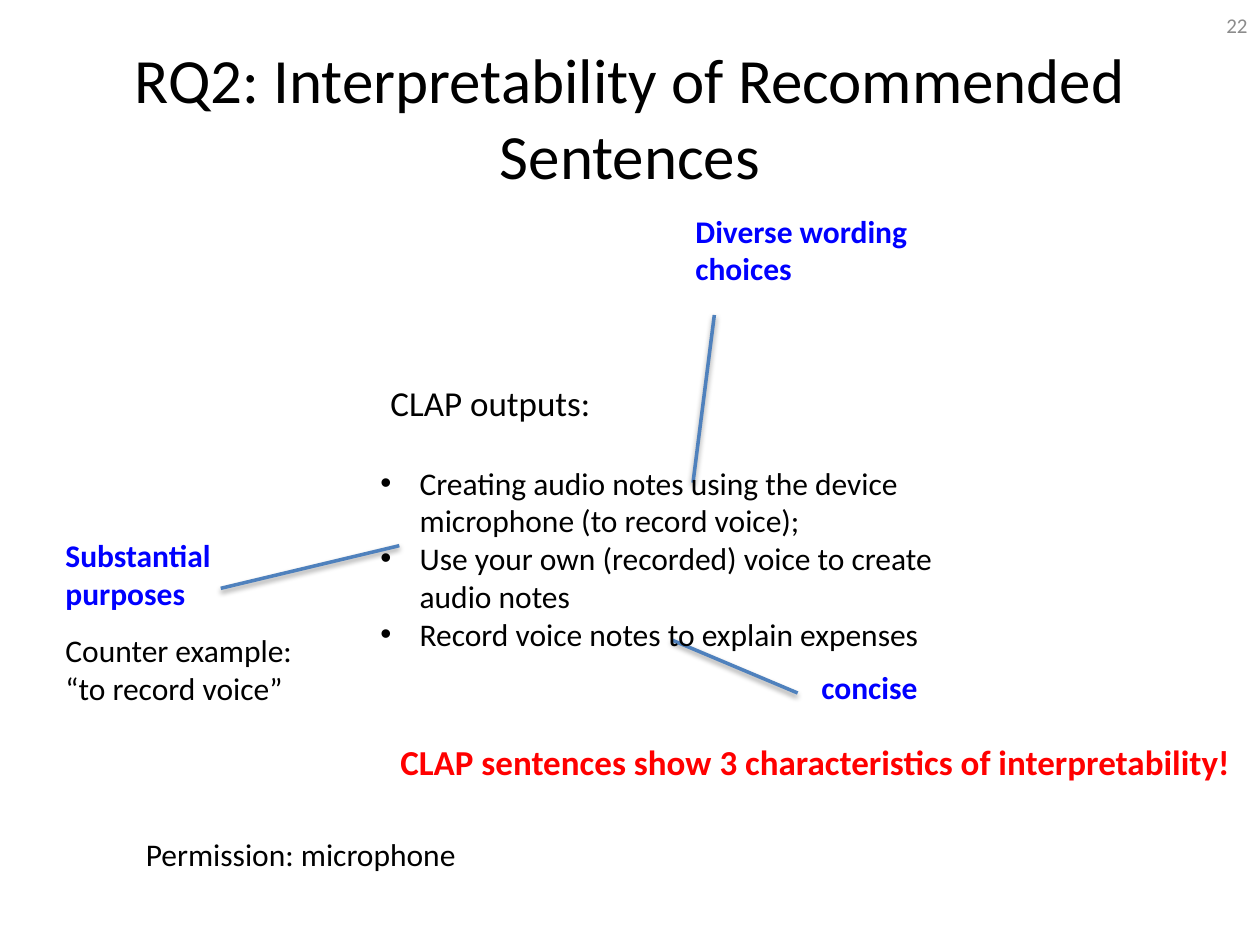
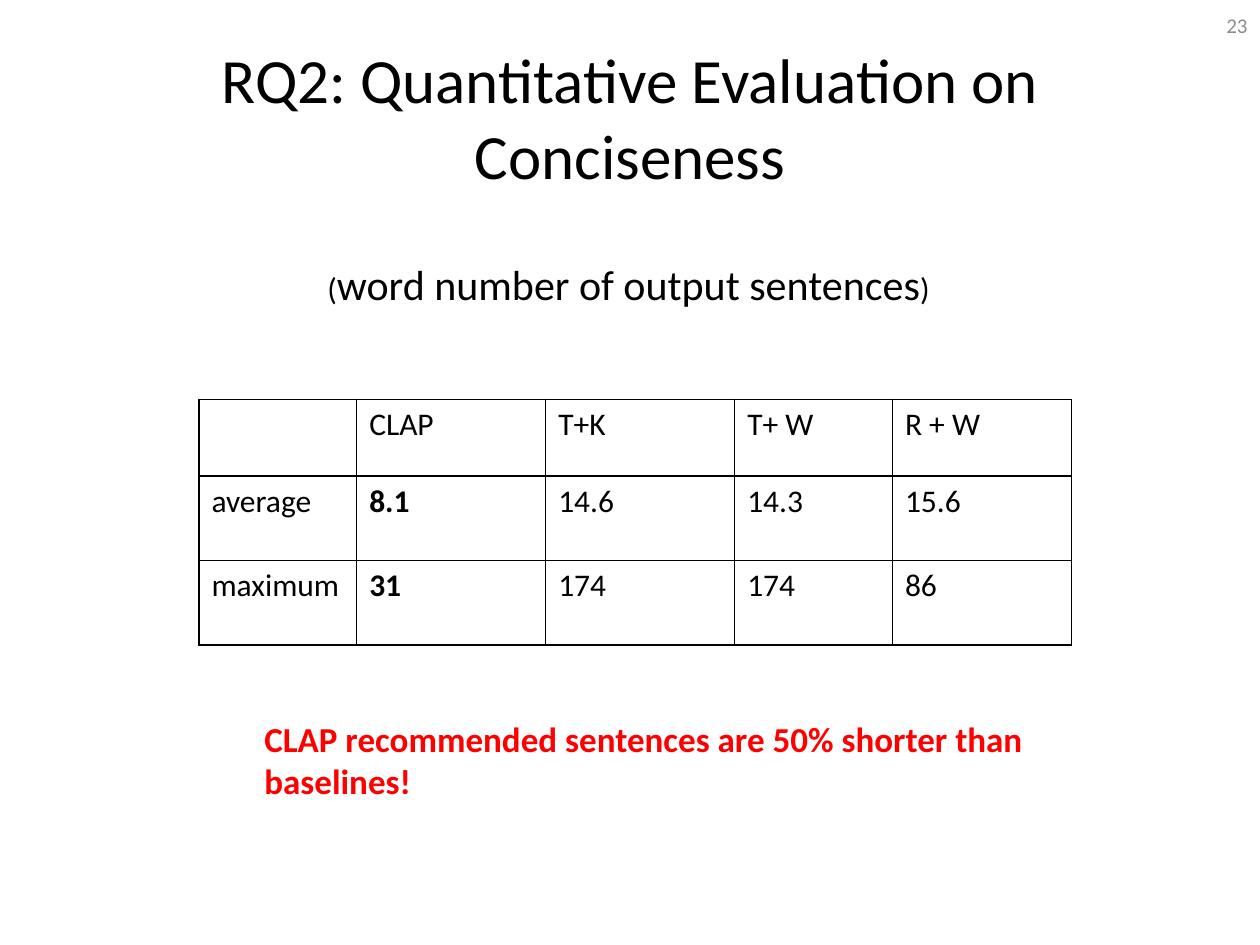
from dataclasses import dataclass
from typing import NamedTuple

from lxml import etree
from pptx import Presentation
from pptx.dml.color import RGBColor
from pptx.enum import shapes, text
from pptx.oxml import parse_xml
from pptx.oxml.ns import nsdecls, qn
from pptx.util import Cm, Pt


@dataclass(frozen=True)
class Theme:
    font: str = "Calibri"
    ink: str = "000000"
    note: str = "0000FF"
    alert: str = "FF0000"
    gray: str = "8C8C8C"
    line: str = "4F81BD"
    title: int = 36
    lead: int = 24
    large: int = 20
    body: int = 18
    small: int = 12


THEME = Theme()
LEFT, MID, RIGHT = text.PP_ALIGN.LEFT, text.PP_ALIGN.CENTER, text.PP_ALIGN.RIGHT


class Run(NamedTuple):
    words: str
    size: int = THEME.body
    color: str = THEME.ink
    bold: bool = False


class Box(NamedTuple):
    """A text box in centimetres; each paragraph is a list of runs."""
    left: float
    top: float
    width: float
    height: float
    paras: list[list[Run]]
    align: text.PP_ALIGN = LEFT
    wrap: bool = True
    bullet: bool = False
    grow: bool = True


class Link(NamedTuple):
    x1: float
    y1: float
    x2: float
    y2: float


def note(words: str) -> list[list[Run]]:
    return [[Run(words, color=THEME.note, bold=True)]]


def claim(words: str) -> list[list[Run]]:
    return [[Run(words, THEME.large, THEME.alert, True)]]


def add_run(para, item: Run) -> None:
    run = para.add_run()
    run.text = item.words
    font = run.font
    font.name, font.size, font.bold = THEME.font, Pt(item.size), item.bold
    font.color.rgb = RGBColor.from_string(item.color)


def add_bullet(para) -> None:
    props = para._p.get_or_add_pPr()
    props.set("marL", str(Cm(0.79)))
    props.set("indent", str(-Cm(0.79)))
    etree.SubElement(props, qn("a:buFont")).set("typeface", "Arial")
    etree.SubElement(props, qn("a:buChar")).set("char", "•")


def add_box(slide, box: Box) -> None:
    shape = slide.shapes.add_textbox(*map(Cm, box[:4]))
    frame = shape.text_frame
    frame.word_wrap = box.wrap
    if box.grow:
        frame.auto_size = text.MSO_AUTO_SIZE.SHAPE_TO_FIT_TEXT
    else:
        frame.vertical_anchor = text.MSO_ANCHOR.MIDDLE
    for i, runs in enumerate(box.paras):
        para = frame.add_paragraph() if i else frame.paragraphs[0]
        para.alignment = box.align
        if box.bullet:
            add_bullet(para)
        for item in runs:
            add_run(para, item)


def add_link(slide, link: Link) -> None:
    """Draw a line with a soft shadow below it."""
    line = slide.shapes.add_connector(shapes.MSO_CONNECTOR.STRAIGHT, *map(Cm, link))
    line.line.color.rgb = RGBColor.from_string(THEME.line)
    line.line.width = Pt(2)
    line._element.spPr.append(parse_xml(
        f'<a:effectLst {nsdecls("a")}>'
        '<a:outerShdw blurRad="40000" dist="20000" dir="5400000" rotWithShape="0">'
        f'<a:srgbClr val="{THEME.ink}"><a:alpha val="38000"/></a:srgbClr>'
        '</a:outerShdw></a:effectLst>'))


def add_edges(cell) -> None:
    props = cell._tc.get_or_add_tcPr()
    for side in "LRTB":
        props.append(parse_xml(
            f'<a:ln{side} {nsdecls("a")} w="{Pt(1)}"><a:solidFill>'
            f'<a:srgbClr val="{THEME.ink}"/></a:solidFill></a:ln{side}>'))


def add_grid(slide, left: float, top: float, widths: list[float],
             heights: list[float], rows: list[list[str]], bold: str) -> None:
    """Draw a ruled table; values in the column headed `bold` are bold."""
    table = slide.shapes.add_table(
        len(rows), len(widths), Cm(left), Cm(top),
        Cm(sum(widths)), Cm(sum(heights))).table
    table.first_row = table.horz_banding = False
    for col, width in zip(table.columns, widths):
        col.width = Cm(width)
    for row, height in zip(table.rows, heights):
        row.height = Cm(height)
    for r, row in enumerate(rows):
        for c, words in enumerate(row):
            cell = table.cell(r, c)
            add_edges(cell)
            cell.fill.background()
            if words:
                strong = r > 0 and rows[0][c] == bold
                add_run(cell.text_frame.paragraphs[0], Run(words, bold=strong))


def add_slide(deck, title: str, page: int):
    slide = deck.slides.add_slide(deck.slide_layouts[6])
    add_box(slide, Box(1.27, 0.76, 22.86, 3.18, [[Run(title, THEME.title)]],
                       MID, grow=False))
    add_box(slide, Box(19.48, 0, 5.92, 1.02,
                       [[Run(str(page), THEME.small, THEME.gray)]],
                       RIGHT, grow=False))
    return slide


def add_traits(deck) -> None:
    slide = add_slide(deck, "RQ2: Interpretability of Recommended Sentences", 22)
    links = [
        Link(14.4, 6.35, 13.97, 9.73),
        Link(4.45, 11.86, 8.05, 11),
        Link(16.08, 13.97, 13.54, 12.9),
    ]
    for link in links:
        add_link(slide, link)
    outputs = [
        "Creating audio notes using the device microphone (to record voice);",
        "Use your own (recorded) voice to create audio notes",
        "Record voice notes to explain expenses",
    ]
    boxes = [
        Box(13.77, 4.14, 5.51, 1.8, note("Diverse wording choices")),
        Box(1.07, 10.69, 4.24, 1.8, note("Substantial purposes")),
        Box(16.31, 13.34, 3.38, 1.02, note("concise")),
        Box(1.07, 12.6, 5.16, 1.8,
            [[Run("Counter example:")], [Run("“to record voice”")]], wrap=False),
        Box(7.42, 9.22, 12.5, 4.11, [[Run(words)] for words in outputs], bullet=True),
        Box(7.62, 7.57, 5.72, 1.12, [[Run("CLAP outputs:", THEME.large)]]),
        Box(7.82, 14.81, 17.78, 1.12,
            claim("CLAP sentences show 3 characteristics of interpretability!")),
        Box(2.69, 16.71, 6.86, 1.02, [[Run("Permission: microphone")]], wrap=False),
    ]
    for box in boxes:
        add_box(slide, box)


def add_scores(deck) -> None:
    slide = add_slide(deck, "RQ2: Quantitative Evaluation on Conciseness", 23)
    rows = [
        ["", "CLAP", "T+K", "T+ W", "R + W"],
        ["average", "8.1", "14.6", "14.3", "15.6"],
        ["maximum", "31", "174", "174", "86"],
    ]
    add_grid(slide, 4.01, 8.05, [3.18, 3.81, 3.81, 3.18, 3.61],
             [1.55, 1.7, 1.7], rows, bold="CLAP")
    add_box(slide, Box(6.35, 5.08, 15.88, 1.27, [[
        Run("("), Run("word number of output sentences", THEME.lead), Run(")")]]))
    add_box(slide, Box(5.08, 14.33, 16.51, 1.96, claim(
        "CLAP recommended sentences are 50% shorter than baselines!")))


def main() -> None:
    deck = Presentation()
    deck.slide_width, deck.slide_height = Cm(25.4), Cm(19.05)
    add_traits(deck)
    add_scores(deck)
    deck.save("out.pptx")


if __name__ == "__main__":
    main()
